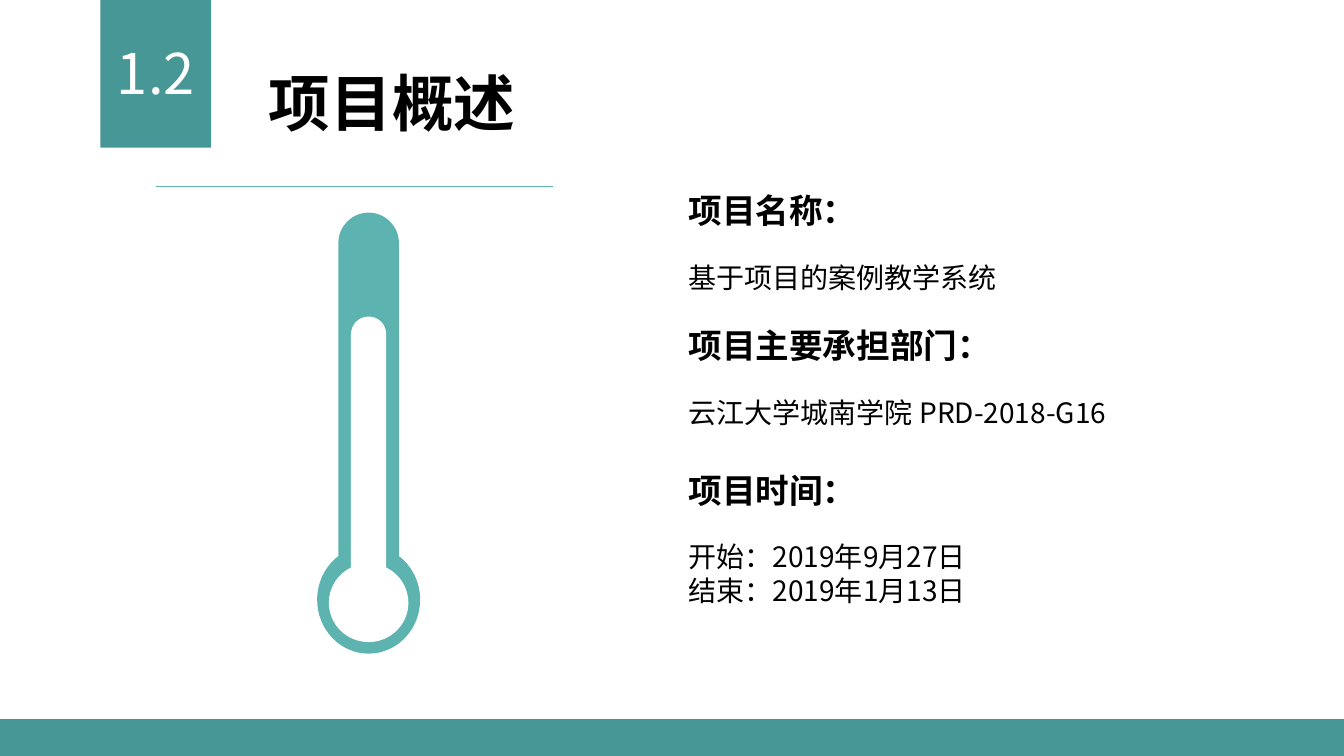
import math
from dataclasses import dataclass

import lxml.etree
import pptx
import pptx.dml.color
import pptx.enum.shapes
import pptx.enum.text
import pptx.oxml.ns
import pptx.shapes.autoshape
import pptx.slide
import pptx.text.text
import pptx.util

RGBColor = pptx.dml.color.RGBColor
Pt = pptx.util.Pt
Align = pptx.enum.text.PP_ALIGN
Point = tuple[int, int]

DEEP_TEAL = RGBColor(0x47, 0x97, 0x96)
TEAL = RGBColor(0x5D, 0xB3, 0xB0)
WHITE = RGBColor(0xFF, 0xFF, 0xFF)
BLACK = RGBColor(0, 0, 0)

SANS_KR = "Noto Sans CJK KR"
SANS_SC = "Noto Sans CJK SC"

WIDTH = pptx.util.Inches(13.33)
HEIGHT = pptx.util.Inches(7.5)


def col(percent: float) -> int:
    return round(WIDTH * percent / 100)


def row(percent: float) -> int:
    return round(HEIGHT * percent / 100)


@dataclass(frozen=True)
class Box:
    x: float
    y: float
    w: float
    h: float

    def emu(self) -> tuple[int, int, int, int]:
        return col(self.x), row(self.y), col(self.w), row(self.h)


@dataclass(frozen=True)
class Style:
    size: float
    line: float
    bold: bool = False
    color: RGBColor = BLACK
    font: str = SANS_SC
    align: Align = Align.LEFT


@dataclass(frozen=True)
class Section:
    heading: str
    details: tuple[str, ...]
    gap: float


@dataclass(frozen=True)
class Thermometer:
    top: float
    tube_rx: float
    bulb_y: float
    bulb_rx: float
    bulb_ry: float
    color: RGBColor


BADGE = Box(7.47, 0, 8.25, 19.55)
BADGE_TEXT = Box(7.47, 4.4, 8.25, 10.27)
TITLE = Box(19.25, 7.87, 51.99, 11.2)
BODY = Box(50.49, 24.53, 38.78, 65.07)
FOOTER = Box(0, 95.13, 100, 4.87)
RULE_START, RULE_END, RULE_Y = 11.63, 41.11, 24.65
THERMOMETER_X = 27.43

NUMBER_STYLE = Style(40, 48, color=WHITE, font=SANS_KR, align=Align.CENTER)
TITLE_STYLE = Style(44, 52.8, bold=True)
HEADING_STYLE = Style(24, 28.8, bold=True)
DETAIL_STYLE = Style(20, 24.2)
DETAIL_GAP = 21.2

SECTIONS = (
    Section("项目名称：", ("基于项目的案例教学系统",), 0),
    Section("项目主要承担部门：", ("云江大学城南学院 PRD-2018-G16",), 22.2),
    Section("项目时间：", ("开始：2019年9月27日", "结束：2019年1月13日"), 28.7),
)

THERMOMETERS = (
    Thermometer(28.13, 2.25, 79.33, 3.83, 7.13, TEAL),
    Thermometer(41.87, 1.31, 79.73, 2.96, 5.2, WHITE),
)


def paint(shape: pptx.shapes.autoshape.Shape, color: RGBColor) -> None:
    shape.fill.solid()
    shape.fill.fore_color.rgb = color
    shape.line.fill.background()
    shape.shadow.inherit = False


def add_block(s: pptx.slide.Slide, box: Box) -> None:
    block = s.shapes.add_shape(pptx.enum.shapes.MSO_SHAPE.RECTANGLE, *box.emu())
    paint(block, DEEP_TEAL)


def write(p: pptx.text.text._Paragraph, text: str, style: Style, before: float = 0) -> None:
    p.text = text
    p.alignment = style.align
    p.line_spacing = Pt(style.line)
    p.space_before = Pt(before)
    p.font.size = Pt(style.size)
    p.font.bold = style.bold
    p.font.color.rgb = style.color
    p.font.name = style.font
    latin = p._p.pPr.find(".//" + pptx.oxml.ns.qn("a:latin"))
    latin.addnext(lxml.etree.Element(pptx.oxml.ns.qn("a:ea"), typeface=style.font))


def set_frame(tf: pptx.text.text.TextFrame) -> None:
    tf.word_wrap = True
    tf.auto_size = pptx.enum.text.MSO_AUTO_SIZE.NONE
    tf.vertical_anchor = pptx.enum.text.MSO_ANCHOR.TOP


def add_frame(s: pptx.slide.Slide, box: Box) -> pptx.text.text.TextFrame:
    tf = s.shapes.add_textbox(*box.emu()).text_frame
    set_frame(tf)
    return tf


def add_title(s: pptx.slide.Slide, text: str) -> None:
    title = s.shapes.title
    title.left, title.top, title.width, title.height = TITLE.emu()
    set_frame(title.text_frame)
    write(title.text_frame.paragraphs[0], text, TITLE_STYLE)


def add_sections(s: pptx.slide.Slide) -> None:
    tf = add_frame(s, BODY)
    p = tf.paragraphs[0]
    for section in SECTIONS:
        if section.gap:
            p = tf.add_paragraph()
        write(p, section.heading, HEADING_STYLE, section.gap)
        for i, detail in enumerate(section.details):
            write(tf.add_paragraph(), detail, DETAIL_STYLE, 0 if i else DETAIL_GAP)


def curve(cy: int, rx: int, ry: int, angles: tuple[float, ...]) -> list[Point]:
    def at(angle: float, pull: float = 0) -> Point:
        cos, sin = math.cos(angle), math.sin(angle)
        x = col(THERMOMETER_X) + rx * (cos - pull * sin)
        return round(x), round(cy + ry * (sin + pull * cos))

    points = [at(angles[0])]
    for start, end in zip(angles, angles[1:]):
        pull = 4 / 3 * math.tan((end - start) / 4)
        points += [at(start, pull), at(end, -pull), at(end)]
    return points


def bend(lines: list[lxml.etree._Element]) -> None:
    for i in range(0, len(lines), 3):
        bezier = lxml.etree.Element(pptx.oxml.ns.qn("a:cubicBezTo"))
        lines[i].addprevious(bezier)
        for line in lines[i:i + 3]:
            bezier.append(line[0])
            line.getparent().remove(line)


def add_thermometer(s: pptx.slide.Slide, item: Thermometer) -> None:
    radius = col(item.tube_rx)
    half_pi = math.pi / 2
    cap = curve(row(item.top) + radius, radius, radius, (math.pi, 3 * half_pi, 4 * half_pi))
    neck = math.asin(item.tube_rx / item.bulb_rx)
    bulb = curve(
        row(item.bulb_y), col(item.bulb_rx), row(item.bulb_ry),
        (neck - half_pi, 0, half_pi, math.pi, 3 * half_pi - neck),
    )
    builder = s.shapes.build_freeform(*cap[0])
    builder.add_line_segments(cap[1:] + bulb, close=True)
    shape = builder.convert_to_shape()
    lines = list(shape._element.iter(pptx.oxml.ns.qn("a:lnTo")))
    bend(lines[:len(cap) - 1])
    bend(lines[len(cap):len(cap) + len(bulb) - 1])
    paint(shape, item.color)


def add_rule(s: pptx.slide.Slide) -> None:
    rule = s.shapes.add_connector(
        pptx.enum.shapes.MSO_CONNECTOR.STRAIGHT,
        col(RULE_START), row(RULE_Y), col(RULE_END), row(RULE_Y),
    )
    rule.line.color.rgb = TEAL
    rule.line.width = Pt(1)
    lxml.etree.SubElement(rule._element.spPr, pptx.oxml.ns.qn("a:effectLst"))


def main() -> None:
    prs = pptx.Presentation()
    prs.slide_width, prs.slide_height = WIDTH, HEIGHT
    s = prs.slides.add_slide(prs.slide_layouts.get_by_name("Title Only"))
    add_block(s, BADGE)
    write(add_frame(s, BADGE_TEXT).paragraphs[0], "1.2", NUMBER_STYLE)
    add_title(s, "项目概述")
    add_block(s, FOOTER)
    add_rule(s)
    add_sections(s)
    for item in THERMOMETERS:
        add_thermometer(s, item)
    prs.save("out.pptx")


if __name__ == "__main__":
    main()
